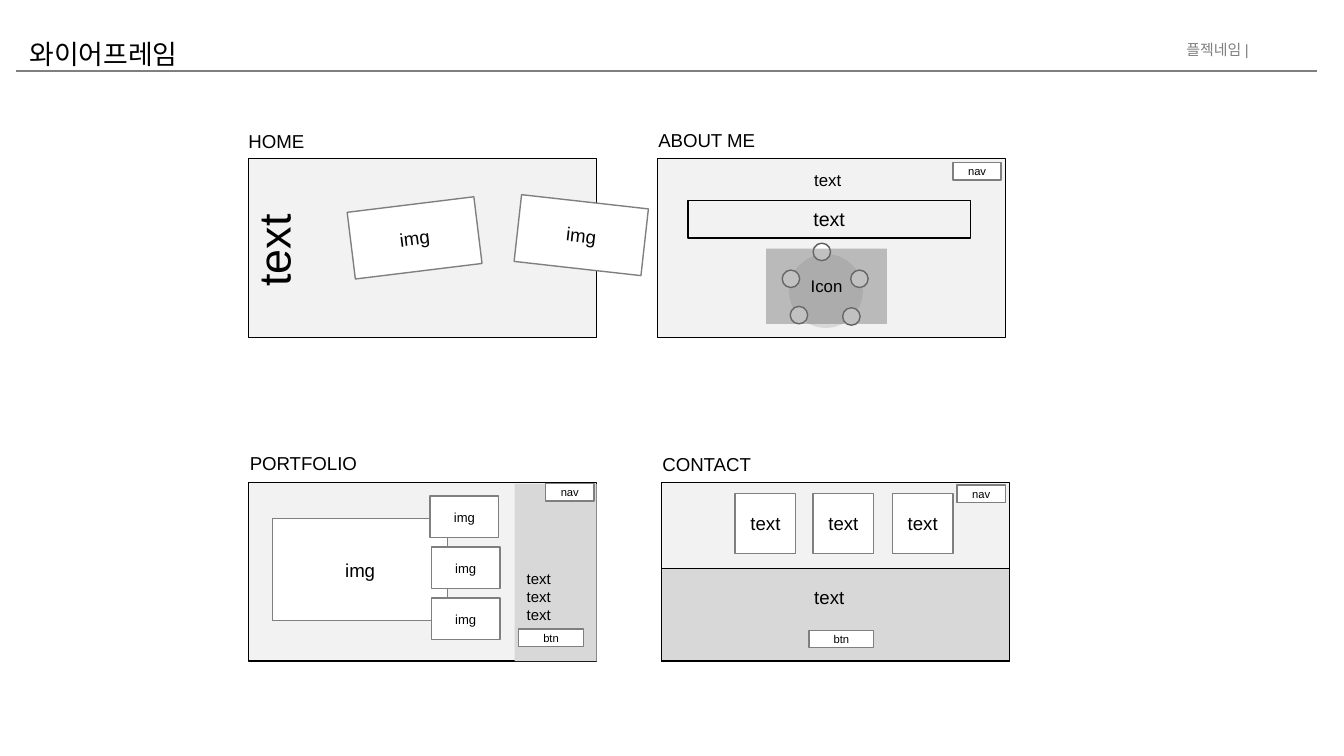
from lxml import etree
from pptx import Presentation
from pptx.dml.color import RGBColor
from pptx.enum.shapes import MSO_CONNECTOR, MSO_SHAPE
from pptx.enum.text import MSO_ANCHOR, PP_ALIGN
from pptx.oxml.ns import qn
from pptx.util import Inches, Pt

STRAIGHT = MSO_CONNECTOR.STRAIGHT
RECT, OVAL = MSO_SHAPE.RECTANGLE, MSO_SHAPE.OVAL
LEFT, CENTER, RIGHT = PP_ALIGN.LEFT, PP_ALIGN.CENTER, PP_ALIGN.RIGHT
TOP, MIDDLE = MSO_ANCHOR.TOP, MSO_ANCHOR.MIDDLE

THEME = {
    "font": "Arial", "ink": "000000", "muted": "7F7F7F", "ring": "595959",
    "paper": "FFFFFF", "screen": "F2F2F2", "panel": "D8D8D8", "veil": "777777",
    "title": 14.4, "hero": 24, "quote": 10.5, "body": 10, "caption": 9,
    "small": 8, "thumb": 7, "tiny": 6,
}

prs = Presentation()
prs.slide_width = Inches(10)
prs.slide_height = prs.slide_width * 9 // 16
slide = prs.slides.add_slide(prs.slide_layouts[6])


def write(text, at, size="body", color="ink", align=LEFT, anchor=TOP, wrap=False, rotation=0, into=None):
    label = into or slide.shapes.add_textbox(*map(Inches, at))
    label.rotation = rotation
    frame = label.text_frame
    frame.word_wrap = wrap
    frame.vertical_anchor = anchor
    frame.margin_left = frame.margin_right = Inches(0.1)
    frame.margin_top = frame.margin_bottom = Inches(0.05)
    frame.text = text
    for paragraph in frame.paragraphs:
        paragraph.alignment = align
        for run in paragraph.runs:
            run.font.name = THEME["font"]
            run.font.size = Pt(THEME[size])
            run.font.color.rgb = RGBColor.from_string(THEME[color])


def block(at, fill="paper", line="muted", text="", size="body", kind=RECT, rotation=0):
    box = slide.shapes.add_shape(kind, *map(Inches, at))
    box.shadow.inherit = False
    box.rotation = rotation
    if fill:
        box.fill.solid()
        box.fill.fore_color.rgb = RGBColor.from_string(THEME[fill])
    else:
        box.fill.background()
    if line:
        box.line.color.rgb = RGBColor.from_string(THEME[line])
        box.line.width = Pt(0.75)
    else:
        box.line.fill.background()
    if text:
        write(text, at, size, align=CENTER, anchor=MIDDLE, rotation=rotation, into=box)
    return box


write("플젝네임 |", (8.67, 0.25, 0.72, 0.24), "small", "muted", RIGHT)
header_rule = slide.shapes.add_connector(
    STRAIGHT, Inches(0.12), Inches(0.53), Inches(9.8), Inches(0.53))
header_rule.line.color.rgb = RGBColor.from_string(THEME["muted"])
header_rule.line.width = Pt(1)
etree.SubElement(header_rule._element.spPr, qn("a:effectLst"))
write("와이어프레임", (0.12, 0.23, 8.03, 0.3), "title", wrap=True)

for x, y in [(1.85, 1.18), (1.85, 3.59), (4.89, 1.18), (4.92, 3.59)]:
    block((x, y, 2.59, 1.33), "screen", "ink")
for name, x, y, width in [("PORTFOLIO", 1.76, 3.31, 1.01), ("ABOUT ME", 4.8, 0.91, 0.93),
                          ("HOME", 1.75, 0.92, 0.62), ("CONTACT", 4.83, 3.32, 0.91)]:
    write(name, (x, y, width, 0.27))

for x, y, tilt in [(2.61, 1.52, 353), (3.85, 1.5, 6.4)]:
    block((x, y, 0.95, 0.5), text="img", rotation=tilt)

block((3.83, 3.6, 0.61, 1.32), "panel", None)
write("text\ntext\ntext", (3.82, 4.19, 0.51, 0.64), "small")
block((2.03, 3.86, 1.3, 0.76), text="img")

for x in [5.47, 6.05, 6.64]:
    block((x, 3.67, 0.45, 0.45), text="text")
block((4.92, 4.23, 2.59, 0.69), "panel", "ink")
write("text", (5.96, 4.31, 0.55, 0.27))
for x, y in [(3.86, 4.68), (6.02, 4.69)]:
    block((x, y, 0.48, 0.13), text="btn", size="tiny")

write("text", (5.96, 1.21, 0.42, 0.25), "caption")
block((5.12, 1.49, 2.1, 0.28), None, "ink", "text", "quote")
block((5.87, 1.89, 0.55, 0.55), "panel", None, kind=OVAL)
for x, y in [(5.82, 2.01), (6.05, 1.81), (6.33, 2.01), (5.88, 2.28), (6.27, 2.29)]:
    block((x, y, 0.13, 0.13), line="ring", kind=OVAL)
icon_veil = block((5.7, 1.85, 0.9, 0.56), "veil", None, "Icon", "caption")
veil_color = icon_veil._element.spPr.find(qn("a:solidFill"))[0]
etree.SubElement(veil_color, qn("a:alpha"), val="45000")

for x, y in [(7.09, 1.21), (7.12, 3.61), (4.06, 3.6)]:
    block((x, y, 0.36, 0.13), text="nav", size="tiny")
for row, x in enumerate([3.2, 3.21, 3.21]):
    block((x, 3.69 + 0.38 * row, 0.51, 0.31), text="img", size="thumb")
write("text", (1.78, 1.47, 0.76, 0.76), "hero", rotation=270)

prs.save("out.pptx")
